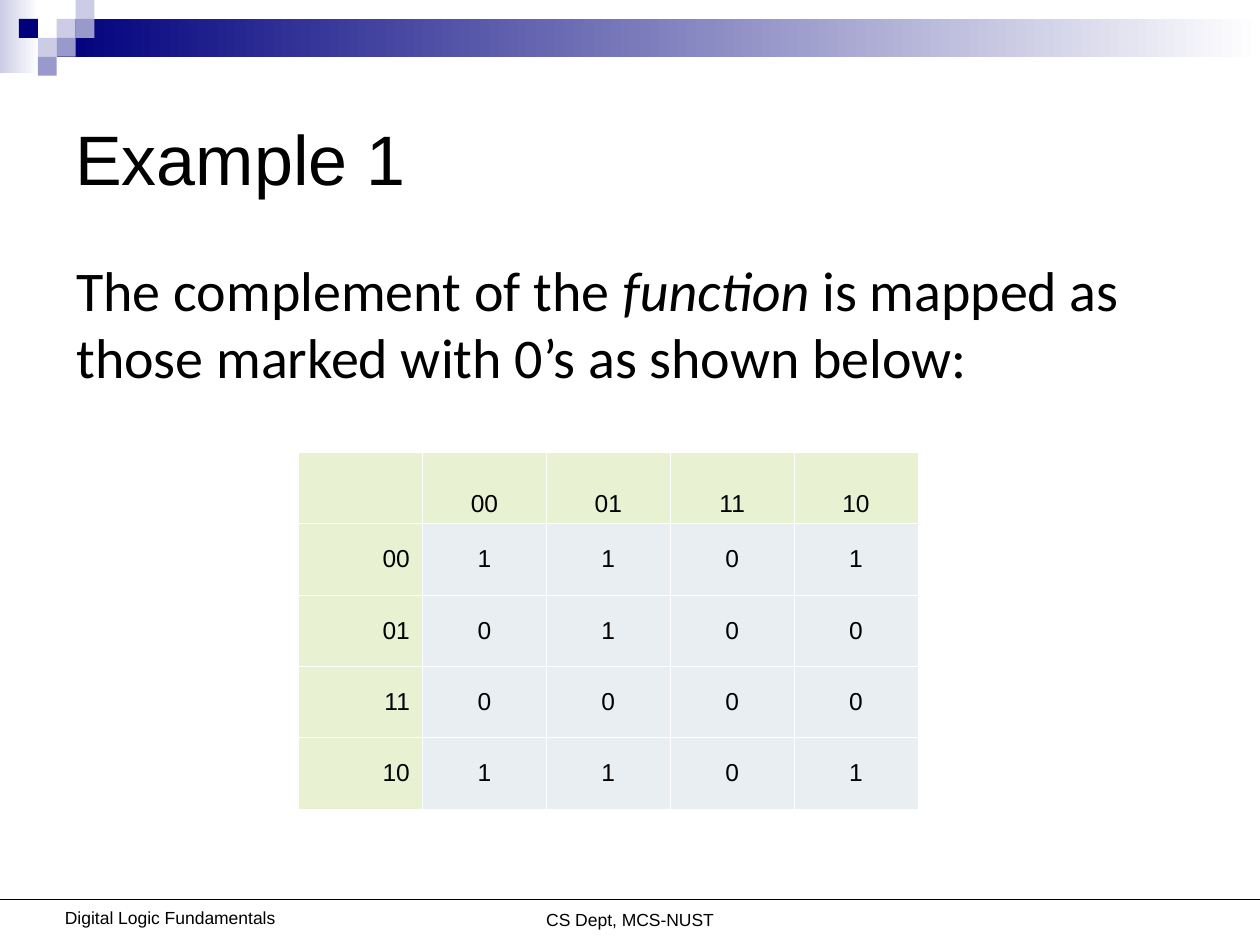
from lxml.etree import SubElement
from pptx import Presentation
from pptx.dml.color import RGBColor
from pptx.enum.shapes import MSO_CONNECTOR, MSO_SHAPE
from pptx.enum.text import MSO_ANCHOR, PP_ALIGN
from pptx.oxml.ns import qn
from pptx.util import Pt

BLACK = RGBColor(0x00, 0x00, 0x00)
WHITE = RGBColor(0xFF, 0xFF, 0xFF)
NAVY = RGBColor(0x00, 0x00, 0x7D)
LAVENDER = RGBColor(0xCC, 0xCC, 0xE6)
PERIWINKLE = RGBColor(0x99, 0x99, 0xCC)
HEADER_GREEN = RGBColor(0xE8, 0xF2, 0xD3)
CELL_GRAY = RGBColor(0xE8, 0xEE, 0xF1)

SQUARES = [
    (3, 1, LAVENDER), (4, 0, LAVENDER), (4, 1, PERIWINKLE), (2, 2, LAVENDER),
    (1, 1, NAVY), (3, 2, PERIWINKLE), (2, 3, PERIWINKLE),
]
KARNAUGH_MAP = [
    ["", "00", "01", "11", "10"],
    ["00", "1", "1", "0", "1"],
    ["01", "0", "1", "0", "0"],
    ["11", "0", "0", "0", "0"],
    ["10", "1", "1", "0", "1"],
]


def set_font(font, size, name="Arial"):
    """Give a font its face, size and the black text colour."""
    font.name, font.size = name, Pt(size)
    font.color.rgb = BLACK


def add_rectangle(slide, left, top, width, height, color, fade=False):
    """Add a borderless rectangle, solid or fading to white at the right."""
    shape = slide.shapes.add_shape(
        MSO_SHAPE.RECTANGLE, Pt(left), Pt(top), Pt(width), Pt(height))
    shape.shadow.inherit = False
    shape.line.fill.background()
    if fade:
        shape.fill.gradient()
        shape.fill.gradient_angle = 0
        for stop, stop_color in zip(shape.fill.gradient_stops, (color, WHITE)):
            stop.color.rgb = stop_color
    else:
        shape.fill.solid()
        shape.fill.fore_color.rgb = color


def add_text(slide, left, top, width, height, text):
    """Add a wrapping text box and return its text frame."""
    text_box = slide.shapes.add_textbox(Pt(left), Pt(top), Pt(width), Pt(height))
    text_frame = text_box.text_frame
    text_frame.word_wrap = True
    text_frame.text = text
    return text_frame


def add_banner(slide, left, top, width, step):
    """Draw the fading bar and the squares on a grid of the given step."""
    add_rectangle(slide, left, top, 22.3, 41.8, LAVENDER, fade=True)
    add_rectangle(slide, left + 3 * step, top + step,
                  width - 3 * step, 2 * step, NAVY, fade=True)
    for column, row, color in SQUARES:
        add_rectangle(slide, left + column * step, top + row * step,
                      step, step, color)


def add_title(slide, left, top, width, height):
    """Place the slide title, centred vertically in its box."""
    text_frame = add_text(slide, left, top, width, height, "Example 1")
    text_frame.vertical_anchor = MSO_ANCHOR.MIDDLE
    set_font(text_frame.paragraphs[0].runs[0].font, 40)


def add_statement(slide, left, top, width, height):
    """Place the sentence with its one italic word."""
    paragraph = add_text(slide, left, top, width, height, "").paragraphs[0]
    for text, italic in [
        ("The complement of the ", False),
        ("function", True),
        (" is mapped as those marked with 0’s as shown below:", False),
    ]:
        run = paragraph.add_run()
        run.text = text
        set_font(run.font, 32, "Calibri")
        run.font.italic = italic


def add_borders(cell):
    """Draw thin white borders on the four sides of a cell."""
    properties = cell._tc.get_or_add_tcPr()
    for index, side in enumerate(("lnL", "lnR", "lnT", "lnB")):
        line = properties.makeelement(qn(f"a:{side}"), {"w": str(Pt(0.45))})
        fill = SubElement(line, qn("a:solidFill"))
        SubElement(fill, qn("a:srgbClr"), val=str(WHITE))
        properties.insert(index, line)


def add_map(slide, left, top, width, height):
    """Place the Karnaugh map as a table of equal rows and columns."""
    size = len(KARNAUGH_MAP)
    table = slide.shapes.add_table(
        size, size, Pt(left), Pt(top), Pt(width), Pt(height)).table
    for column in table.columns:
        column.width = Pt(width / size)
    for i, values in enumerate(KARNAUGH_MAP):
        table.rows[i].height = Pt(height / size)
        for j, value in enumerate(values):
            cell = table.cell(i, j)
            cell.fill.solid()
            cell.fill.fore_color.rgb = CELL_GRAY if i and j else HEADER_GREEN
            add_borders(cell)
            cell.vertical_anchor = MSO_ANCHOR.MIDDLE if i else MSO_ANCHOR.BOTTOM
            cell.text = value
            paragraph = cell.text_frame.paragraphs[0]
            paragraph.alignment = PP_ALIGN.CENTER if j else PP_ALIGN.RIGHT
            paragraph.font.size = Pt(14)
            for run in paragraph.runs:
                set_font(run.font, 14)
                run.font.bold = False


def add_footer(slide, left, top, width):
    """Draw the footer rule with the two labels under it."""
    rule = slide.shapes.add_connector(
        MSO_CONNECTOR.STRAIGHT, Pt(left), Pt(top), Pt(left + width), Pt(top))
    rule.line.color.rgb = BLACK
    rule.line.width = Pt(0.75)
    SubElement(rule._element.spPr, qn("a:effectLst"))
    for text, offset, drop, label_width in [
        ("CS Dept, MCS-NUST", 210, 2, 300),
        ("Digital Logic Fundamentals", 25.2, 0.6, 144),
    ]:
        text_frame = add_text(slide, left + offset, top + drop, label_width, 19,
                              text)
        paragraph = text_frame.paragraphs[0]
        paragraph.alignment = PP_ALIGN.CENTER
        set_font(paragraph.runs[0].font, 10)


def main():
    """Build the slide and save it."""
    presentation = Presentation()
    presentation.slide_width, presentation.slide_height = Pt(720), Pt(540)
    slide = presentation.slides.add_slide(presentation.slide_layouts[6])
    add_banner(slide, 0, 0, 720, 10.8)
    add_footer(slide, 0, 514, 720)
    add_title(slide, 36, 36, 648, 108)
    add_map(slide, 170.64, 258.6, 354, 203.75)
    add_statement(slide, 36.5, 142.5, 652, 122.4)
    presentation.save("out.pptx")


if __name__ == "__main__":
    main()
